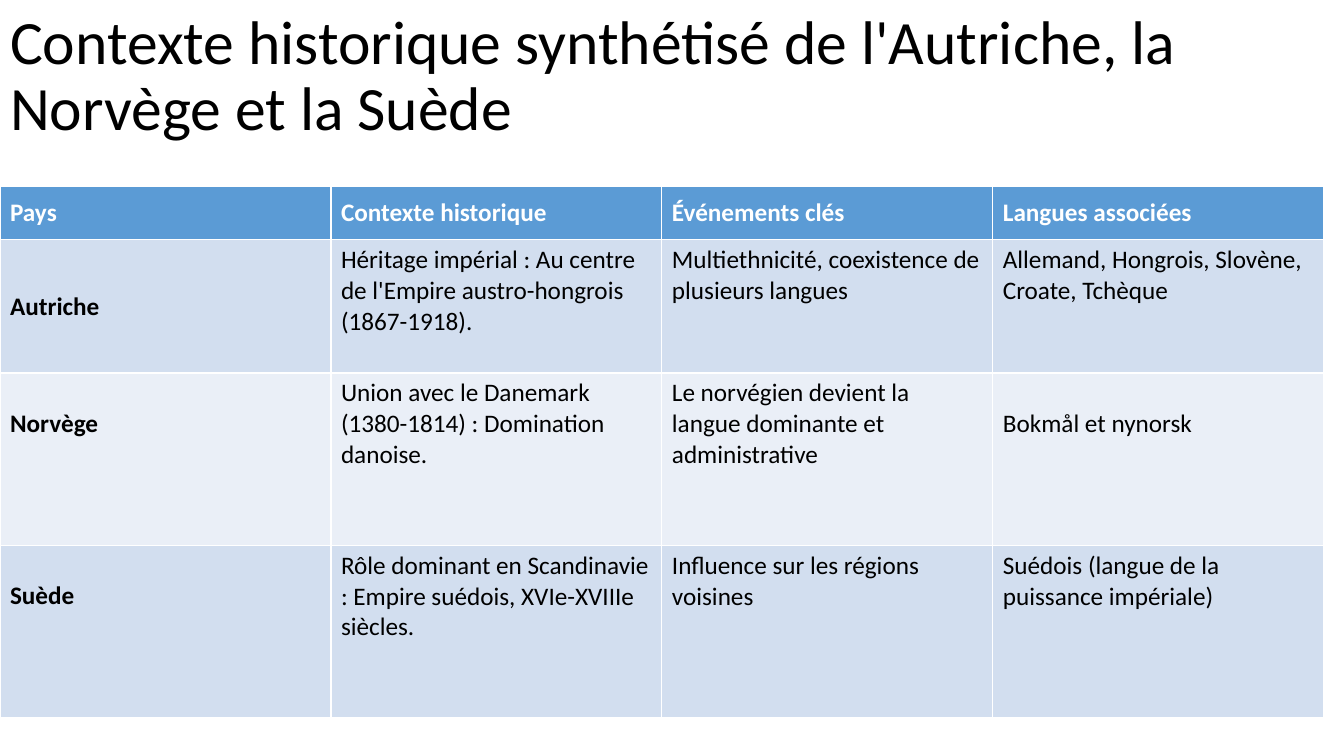
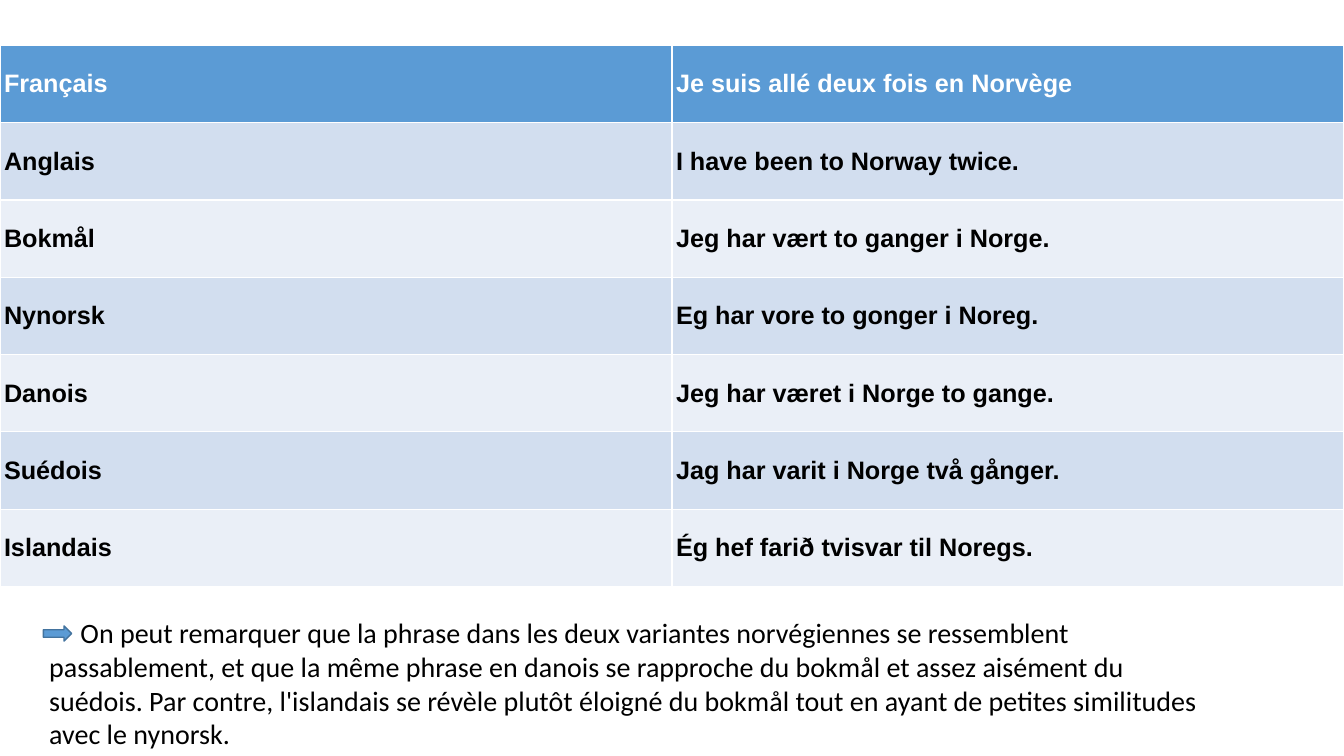
import pptx
import pptx.util
import pptx.dml.color
import pptx.enum.shapes
import pptx.enum.text

Inches, Pt = pptx.util.Inches, pptx.util.Pt
RGB = pptx.dml.color.RGBColor.from_string
ANCHOR = pptx.enum.text.MSO_ANCHOR

COLORS = {"header": "5B9BD5", "band_dark": "D2DEEF", "band_light": "EAEFF7",
          "white": "FFFFFF", "text": "000000", "arrow_line": "43739E"}


def add_banded_table(slide, top, width, row_heights, rows, font_name, bold_columns):
    """Add a full-width table with a blue header and alternating bands; return it."""
    table = slide.shapes.add_table(len(rows), len(rows[0]), 0, Inches(top),
                                   Inches(width), Inches(sum(row_heights))).table
    for r, (height, texts) in enumerate(zip(row_heights, rows)):
        table.rows[r].height = Inches(height)
        band = "header" if r == 0 else "band_dark" if r % 2 else "band_light"
        for c, text in enumerate(texts):
            cell = table.cell(r, c)
            cell.text = text
            cell.fill.solid()
            cell.fill.fore_color.rgb = RGB(COLORS[band])
            cell.vertical_anchor = ANCHOR.MIDDLE
            font = cell.text_frame.paragraphs[0].font
            font.name, font.size = font_name, Pt(18)
            font.bold = r == 0 or c in bold_columns
            font.color.rgb = RGB(COLORS["white" if r == 0 else "text"])
    return table


prs = pptx.Presentation()
prs.slide_width, prs.slide_height = Inches(13.33), Inches(7.5)

# Slide 1: historical context
context_slide = prs.slides.add_slide(prs.slide_layouts[5])
title = context_slide.shapes.title
title.left, title.top, title.width, title.height = 0, 0, Inches(12.42), Inches(1.54)
title.text = "Contexte historique synthétisé de l'Autriche, la Norvège et la Suède"
title.text_frame.vertical_anchor = ANCHOR.MIDDLE
heading = title.text_frame.paragraphs[0]
heading.alignment = pptx.enum.text.PP_ALIGN.LEFT
heading.line_spacing = 0.9
heading.font.name, heading.font.size = "Calibri", Pt(44)
heading.font.color.rgb = RGB(COLORS["text"])

countries = [
    ["Pays", "Contexte historique", "Événements clés", "Langues associées"],
    ["Autriche",
     "Héritage impérial : Au centre de l'Empire austro-hongrois (1867-1918).",
     "Multiethnicité, coexistence de plusieurs langues",
     "Allemand, Hongrois, Slovène, Croate, Tchèque"],
    ["Norvège",
     "Union avec le Danemark (1380-1814) : Domination danoise.",
     "Le norvégien devient la langue dominante et administrative",
     "Bokmål et nynorsk"],
    ["Suède",
     "Rôle dominant en Scandinavie : Empire suédois, XVIe-XVIIIe siècles.",
     "Influence sur les régions voisines",
     "Suédois (langue de la puissance impériale)"],
]
country_table = add_banded_table(context_slide, 1.85, 13.13, [0.53, 1.32, 1.71, 1.71],
                                 countries, "Calibri", {0})
for r in range(1, len(countries)):
    for c in range(len(countries[0])):
        if (r, c) != (1, 0):
            country_table.cell(r, c).vertical_anchor = ANCHOR.TOP
# These cells start level with the second line of their neighbours
for r, c in [(2, 0), (2, 3), (3, 0)]:
    country_table.cell(r, c).margin_top = Inches(0.35)

# Slide 2: one sentence in seven languages
sentence_slide = prs.slides.add_slide(prs.slide_layouts[6])
translations = [
    ["Français", "Je suis allé deux fois en Norvège"],
    ["Anglais", "I have been to Norway twice."],
    ["Bokmål", "Jeg har vært to ganger i Norge."],
    ["Nynorsk", "Eg har vore to gonger i Noreg."],
    ["Danois", "Jeg har været i Norge to gange."],
    ["Suédois", "Jag har varit i Norge två gånger."],
    ["Islandais", "Ég hef farið tvisvar til Noregs."],
]
translation_table = add_banded_table(sentence_slide, 0.45, 13.33, [5.37 / 7] * 7,
                                     translations, "Arial", {0, 1})
for cell in translation_table.iter_cells():
    cell.margin_left = cell.margin_right = Inches(0.04)
    cell.margin_top = cell.margin_bottom = Inches(0.04)

remark = sentence_slide.shapes.add_textbox(Inches(0.39), Inches(6.06),
                                           Inches(11.7), Inches(1.45)).text_frame
remark.word_wrap = True
remark.text = ("On peut remarquer que la phrase dans les deux variantes norvégiennes se "
               "ressemblent passablement, et que la même phrase en danois se rapproche du "
               "bokmål et assez aisément du suédois. Par contre, l'islandais se révèle "
               "plutôt éloigné du bokmål tout en ayant de petites similitudes avec le "
               "nynorsk.")
observation = remark.paragraphs[0]
observation.font.name, observation.font.size = "Calibri", Pt(20)
observation.font.color.rgb = RGB(COLORS["text"])
# The first line leaves room for the arrow
observation_format = observation._p.get_or_add_pPr()
observation_format.set("marL", "0")
observation_format.set("indent", str(Inches(0.31)))

arrow = sentence_slide.shapes.add_shape(pptx.enum.shapes.MSO_SHAPE.RIGHT_ARROW,
                                        Inches(0.43), Inches(6.21), Inches(0.28), Inches(0.15))
arrow.shadow.inherit = False
arrow.fill.solid()
arrow.fill.fore_color.rgb = RGB(COLORS["header"])
arrow.line.color.rgb = RGB(COLORS["arrow_line"])
arrow.line.width = Pt(1)

prs.save("out.pptx")
